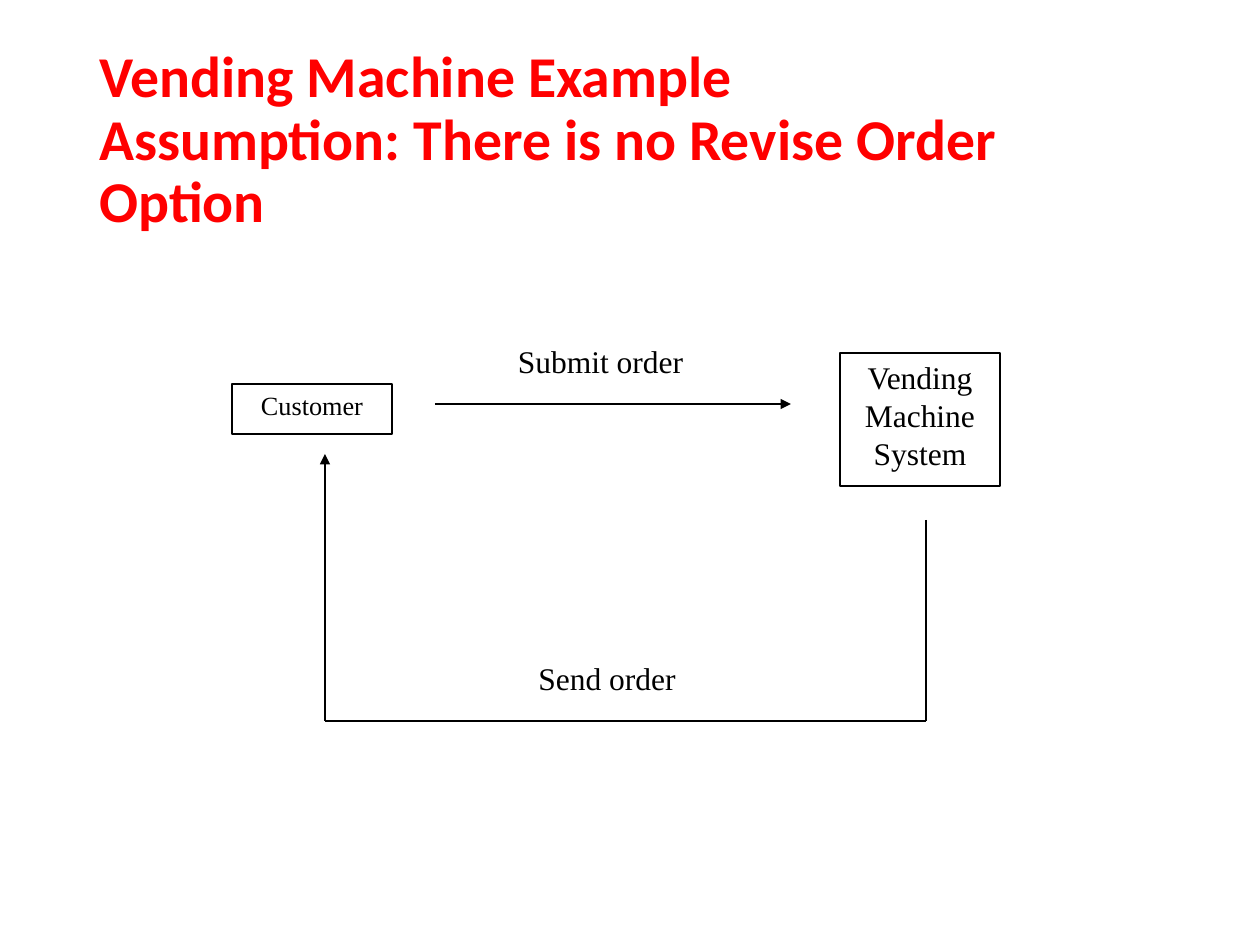
import pptx
import pptx.util
import pptx.dml.color
import pptx.enum.shapes
import pptx.enum.text
import pptx.oxml.ns
import lxml.etree

PX = 914400 / 126
INK = {"title": "FF0000", "text": "000000", "line": "000000", "paper": "FFFFFF"}


def px(*nums):
    return [pptx.util.Emu(round(n * PX)) for n in nums]


def hue(name):
    return pptx.dml.color.RGBColor.from_string(INK[name])


deck = pptx.Presentation()
deck.slide_width, deck.slide_height = px(1260, 945)
slide = deck.slides.add_slide(deck.slide_layouts[6])

# Title
title = slide.shapes.add_textbox(*px(87, 50, 1086, 183))
frame = title.text_frame
frame.word_wrap = True
frame.vertical_anchor = pptx.enum.text.MSO_ANCHOR.MIDDLE
frame.text = "Vending Machine Example\vAssumption: There is no Revise Order Option"
para = frame.paragraphs[0]
para.line_spacing = 0.9
for run in para.runs:
    run.font.name = "Calibri"
    run.font.size = pptx.util.Pt(33)
    run.font.bold = True
    run.font.color.rgb = hue("title")

# Flow lines: start, end, arrow at the end
lines = [
    (435, 404, 791, 404, True),
    (926, 520, 926, 721, False),
    (926, 721, 325, 721, False),
    (325, 721, 325, 454, True),
]
for *ends, arrow in lines:
    line = slide.shapes.add_connector(
        pptx.enum.shapes.MSO_CONNECTOR.STRAIGHT, *px(*ends))
    line.line.color.rgb = hue("line")
    line.line.width = pptx.util.Pt(0.75)
    if arrow:
        lxml.etree.SubElement(line.line._get_or_add_ln(),
                              pptx.oxml.ns.qn("a:tailEnd"), type="triangle")
    lxml.etree.SubElement(line._element.spPr, pptx.oxml.ns.qn("a:effectLst"))

# Boxes and flow labels: text, place, size, border
boxes = [
    ("Customer", (232, 384, 160, 50), 15, "line"),
    ("Vending Machine System", (840, 353, 160, 133), 18, "line"),
    ("Send order", (521, 654, 172, 49), 18, "paper"),
    ("Submit order", (496, 337, 209, 50), 18, "paper"),
]
for text, place, size, edge in boxes:
    box = slide.shapes.add_shape(
        pptx.enum.shapes.MSO_SHAPE.RECTANGLE, *px(*place))
    box.shadow.inherit = False
    box.fill.solid()
    box.fill.fore_color.rgb = hue("paper")
    box.line.color.rgb = hue(edge)
    box.line.width = pptx.util.Pt(0.75)
    frame = box.text_frame
    frame.word_wrap = True
    frame.vertical_anchor = pptx.enum.text.MSO_ANCHOR.TOP
    frame.margin_left, frame.margin_right = px(9, 9)
    frame.margin_top, frame.margin_bottom = px(5, 5)
    frame.text = text
    para = frame.paragraphs[0]
    para.alignment = pptx.enum.text.PP_ALIGN.CENTER
    font = para.runs[0].font
    font.name = "Times New Roman"
    font.size = pptx.util.Pt(size)
    font.color.rgb = hue("text")

deck.save("out.pptx")
